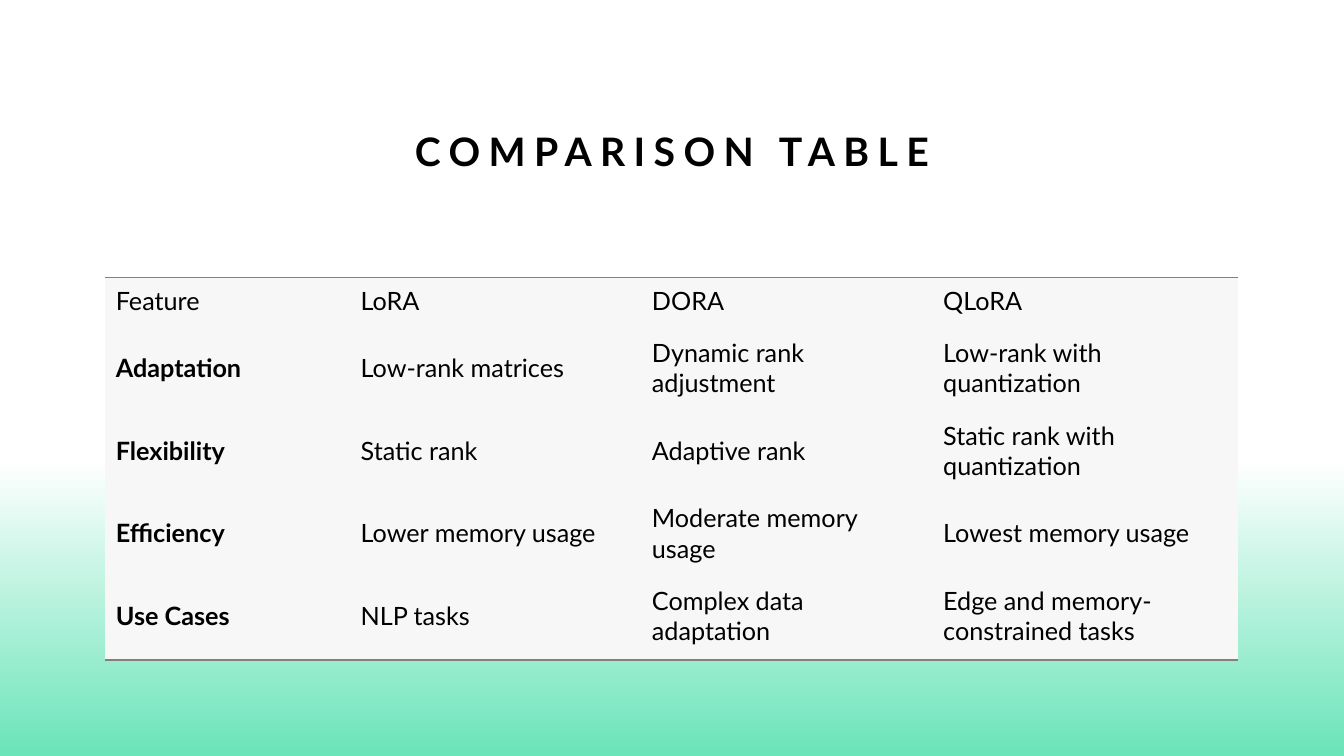
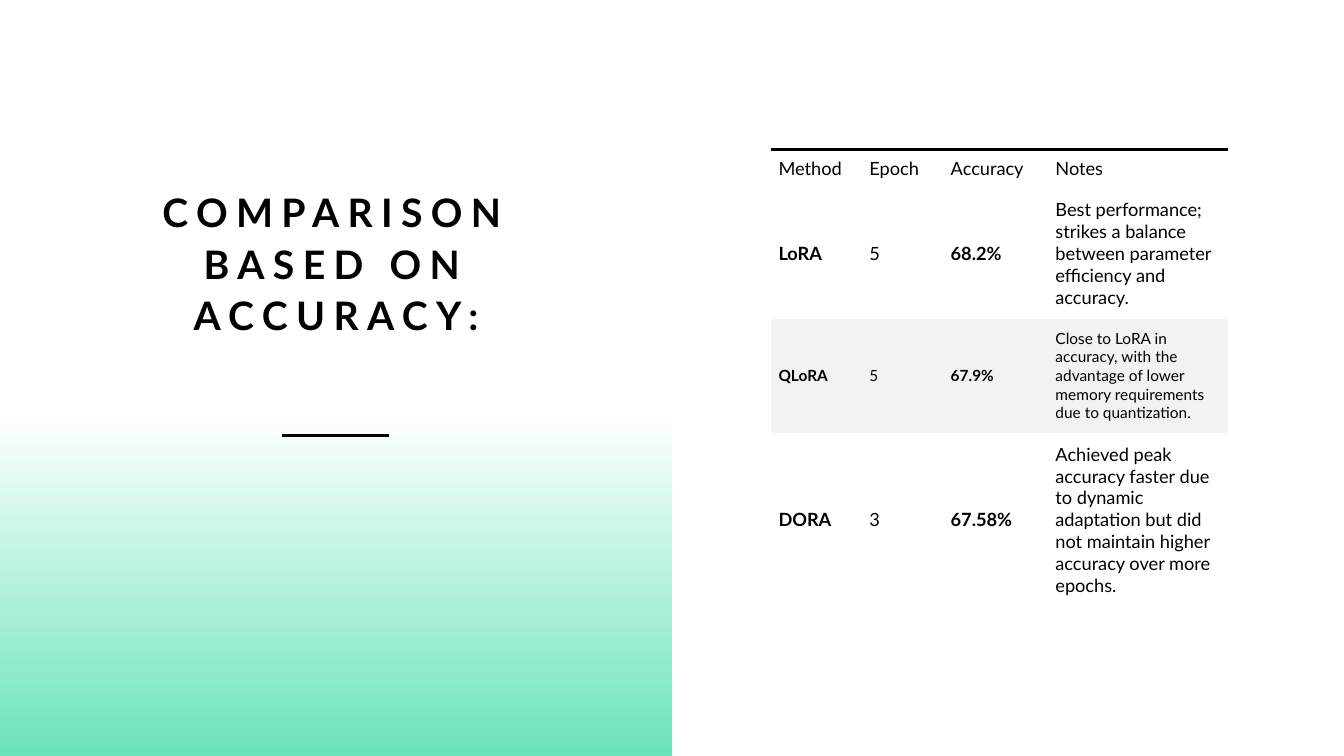
from lxml import etree
from pptx import Presentation
from pptx.dml.color import RGBColor
from pptx.enum.shapes import MSO_CONNECTOR, MSO_SHAPE
from pptx.enum.text import MSO_ANCHOR, PP_ALIGN
from pptx.oxml.ns import qn
from pptx.util import Cm, Pt

RECTANGLE = MSO_SHAPE.RECTANGLE
STRAIGHT = MSO_CONNECTOR.STRAIGHT
BOTTOM = MSO_ANCHOR.BOTTOM
MIDDLE = MSO_ANCHOR.MIDDLE
CENTER = PP_ALIGN.CENTER
WIDTH, HEIGHT = 33.87, 19.05
PLAIN_TABLE = "{2D5ABB26-0587-4C30-8999-92F81FD0307C}"

FEATURES = [
    ["Feature", "LoRA", "DORA", "QLoRA"],
    ["Adaptation", "Low-rank matrices", "Dynamic rank adjustment",
     "Low-rank with quantization"],
    ["Flexibility", "Static rank", "Adaptive rank",
     "Static rank with quantization"],
    ["Efficiency", "Lower memory usage", "Moderate memory usage",
     "Lowest memory usage"],
    ["Use Cases", "NLP tasks", "Complex data adaptation",
     "Edge and memory-constrained tasks"],
]
ACCURACIES = [
    ["Method", "Epoch", "Accuracy", "Notes"],
    ["LoRA", "5", "68.2%",
     "Best performance; strikes a balance between parameter efficiency "
     "and accuracy."],
    ["QLoRA", "5", "67.9%",
     "Close to LoRA in accuracy, with the advantage of lower memory "
     "requirements due to quantization."],
    ["DORA", "3", "67.58%",
     "Achieved peak accuracy faster due to dynamic adaptation but did not "
     "maintain higher accuracy over more epochs."],
]


def rgb(value):
    return RGBColor.from_string(value)


class Deck:
    font = "Lato"
    ink = "000000"
    paper = "FFFFFF"
    accent = "6AE4B9"

    def __init__(self):
        self.prs = Presentation()
        self.prs.slide_width = Cm(WIDTH)
        self.prs.slide_height = Cm(HEIGHT)
        self.slide = None

    def new_slide(self):
        self.slide = self.prs.slides.add_slide(self.prs.slide_layouts[6])
        background = self.slide.background.fill
        background.solid()
        background.fore_color.rgb = rgb(self.paper)

    def run(self, paragraph, text, size, bold=False):
        run = paragraph.add_run()
        run.text = text
        run.font.name = self.font
        run.font.size = Pt(size)
        run.font.bold = bold
        run.font.color.rgb = rgb(self.ink)
        return run

    def fade(self, top, width):
        band = self.slide.shapes.add_shape(
            RECTANGLE, 0, Cm(top), Cm(width), Cm(HEIGHT - top))
        band.shadow.inherit = False
        band.line.fill.background()
        band.fill.gradient()
        band.fill.gradient_angle = 270
        stops = zip(band.fill.gradient_stops, (0.14, 1), (self.paper, self.accent))
        for stop, position, color in stops:
            stop.position = position
            stop.color.rgb = rgb(color)

    def title(self, text, left, top, width, height, spacing):
        box = self.slide.shapes.add_textbox(Cm(left), Cm(top), Cm(width), Cm(height))
        frame = box.text_frame
        frame.word_wrap = True
        frame.vertical_anchor = BOTTOM
        paragraph = frame.paragraphs[0]
        paragraph.alignment = CENTER
        paragraph.line_spacing = spacing
        run = self.run(paragraph, text, 28, True)
        run.font._element.set("spc", "600")

    def divider(self, left, right, y, weight):
        line = self.slide.shapes.add_connector(
            STRAIGHT, Cm(left), Cm(y), Cm(right), Cm(y))
        line.line.color.rgb = rgb(self.ink)
        line.line.width = Pt(weight)
        etree.SubElement(line._element.spPr, qn("a:effectLst"))

    def border(self, cell, side, color, weight):
        edge = etree.Element(qn(f"a:{side}"), w=str(Pt(weight)))
        fill = etree.SubElement(edge, qn("a:solidFill"))
        etree.SubElement(fill, qn("a:srgbClr"), val=color)
        cell._tc.get_or_add_tcPr().insert(0, edge)

    def table(self, rows, left, top, widths, heights, margins, sizes, fills,
              bold_columns, rules):
        table = self.slide.shapes.add_table(
            len(rows), len(widths), Cm(left), Cm(top),
            Cm(sum(widths)), Cm(sum(heights))).table
        table.first_row = table.horz_banding = False
        table._tbl.tblPr.find(qn("a:tableStyleId")).text = PLAIN_TABLE
        for column, width in zip(table.columns, widths):
            column.width = Cm(width)
        for r, texts in enumerate(rows):
            table.rows[r].height = Cm(heights[r])
            for c, text in enumerate(texts):
                cell = table.cell(r, c)
                cell.vertical_anchor = MIDDLE
                (cell.margin_left, cell.margin_top,
                 cell.margin_right, cell.margin_bottom) = map(Cm, margins)
                cell.fill.solid()
                cell.fill.fore_color.rgb = rgb(fills[r])
                self.run(cell.text_frame.paragraphs[0], text, sizes[r],
                         r > 0 and c in bold_columns)
                if r in rules:
                    self.border(cell, *rules[r])


def feature_slide(deck):
    deck.new_slide()
    deck.title("COMPARISON TABLE", 4.24, 2.12, 25.4, 2.41, 1.2)
    deck.fade(10.39, WIDTH)
    count = len(FEATURES)
    deck.table(
        FEATURES, 2.64, 6.99, [6.17, 7.34, 7.34, 7.72],
        [1.32] + [2.08] * (count - 1), (0.28, 0.13, 0.28, 0.28),
        [18] * count, ["F7F7F7"] * count, {0},
        {0: ("lnT", "808080", 1), count - 1: ("lnB", "808080", 1)})


def accuracy_slide(deck):
    deck.new_slide()
    deck.fade(8.94, WIDTH / 2)
    deck.title("COMPARISON BASED ON ACCURACY:", 3.18, 4.24, 10.58, 4.42, 1.1)
    deck.divider(7.11, 9.8, 10.97, 2.5)
    deck.table(
        ACCURACIES, 19.42, 3.76, [2.29, 2.05, 2.64, 4.54],
        [0.99, 3.28, 2.87, 4.39], (0.2, 0.18, 0.2, 0.18),
        [13, 13, 11, 13], [deck.paper, deck.paper, "F2F2F2", deck.paper],
        {0, 2}, {0: ("lnT", deck.ink, 2.25)})


def main():
    deck = Deck()
    feature_slide(deck)
    accuracy_slide(deck)
    deck.prs.save("out.pptx")


if __name__ == "__main__":
    main()
